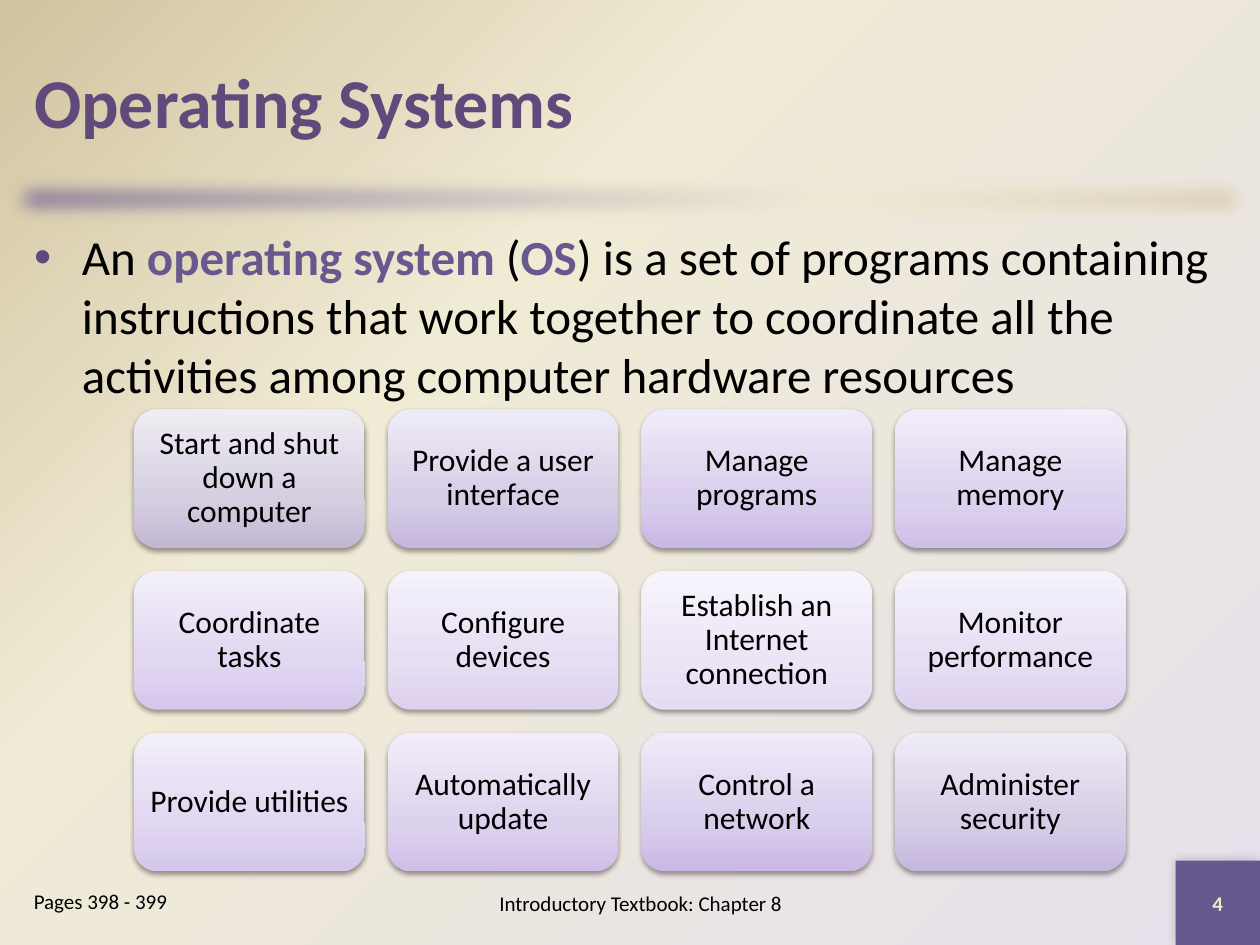
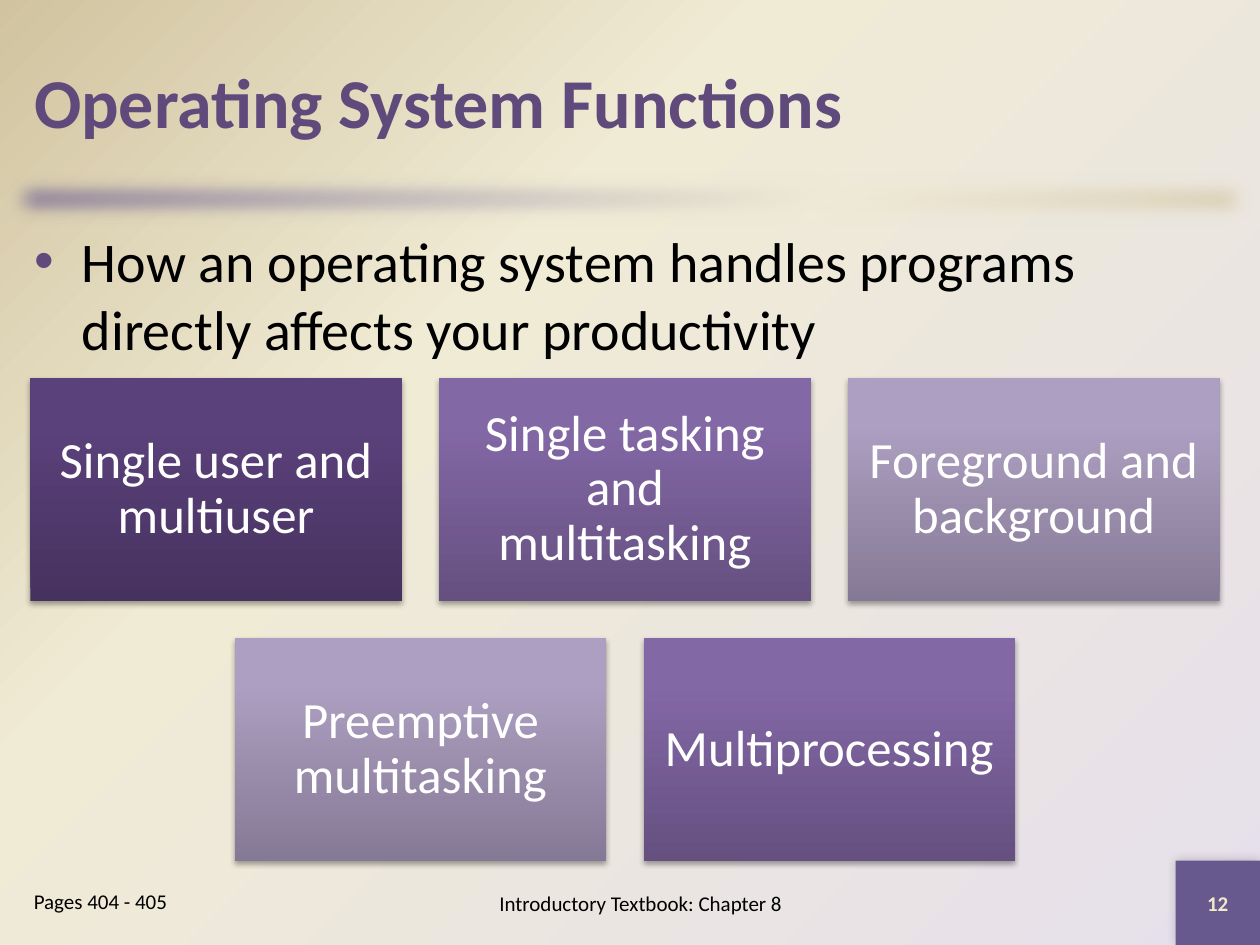
import dataclasses

import pptx
import pptx.dml.color
import pptx.enum.shapes
import pptx.enum.text
import pptx.oxml
import pptx.oxml.ns
import pptx.util

Inches = pptx.util.Inches
Color = pptx.dml.color.RGBColor.from_string
Shape = pptx.enum.shapes.MSO_SHAPE
Align = pptx.enum.text.PP_ALIGN
Anchor = pptx.enum.text.MSO_ANCHOR
NAMESPACE = pptx.oxml.ns.nsdecls("a")


# Theme
@dataclasses.dataclass(frozen=True)
class Theme:
    font: str = "Calibri"
    title: str = "604A7B"
    accent: str = "67588E"
    text: str = "000000"
    light: str = "FFFFFF"
    number: str = "EEEBCA"
    title_size: int = 40
    small_size: int = 12
    background: tuple = ((0, "E6E0EC"), (65, "F0EBD5"), (100, "D1C39F"))
    band: tuple = ((0, "67588E"), (65, "F0EBD5"), (100, "D1C39F"))


theme = Theme()
FOOTER = "Introductory Textbook: Chapter 8"
CORNER_FADE = '<a:path path="circle"><a:fillToRect l="100000" t="100000"/></a:path>'
DIAGONAL = '<a:lin ang="2700000" scaled="0"/>'
UPWARD = '<a:lin ang="16200000" scaled="0"/>'
SOFT_EDGE = '<a:softEdge rad="158750"/>'
SHADOW = ('<a:outerShdw blurRad="{}" dist="{}" dir="{}" rotWithShape="0">'
          '<a:srgbClr val="000000"><a:alpha val="{}"/></a:srgbClr></a:outerShdw>')
CORNER_SHADOW = SHADOW.format(76200, 0, 13500000, 20000)

# Slide content; tile colours run through the shades and back again
slides = [
    dict(
        title="Operating Systems", number="4", pages="Pages 398 - 399", body_size=28,
        body=[("An ", False), ("operating system ", True), ("(", False), ("OS", True),
              (") is a set of programs containing instructions that work together to "
               "coordinate all the activities among computer hardware resources", False)],
        rows=[["Start and shut down a computer", "Provide a user interface",
               "Manage programs", "Manage memory"],
              ["Coordinate tasks", "Configure devices",
               "Establish an Internet connection", "Monitor performance"],
              ["Provide utilities", "Automatically update",
               "Control a network", "Administer security"]],
        kind=Shape.ROUNDED_RECTANGLE, center=5, top=3.25, width=1.83, height=1.1,
        margin=0.02, tile_size=18, tile_text=theme.text, middle_stop=35,
        shades=["C3B8D4 D5CEE0 EFECF3", "C5B7DD D6CDE6 EFEBF6", "C9B8E5 D9CDEC F0EBF8",
                "CFBFE8 DDD2EE F2EDF9", "D5C7EC E1D7F1 F3EFFA", "DDD1EF E6DEF3 F5F2FB",
                "E4DCF2 ECE5F6 F7F4FC"],
        shadow=SHADOW.format(39370, 20320, 5400000, 38000),
    ),
    dict(
        title="Operating System Functions", number="12", pages="Pages 404 - 405",
        body_size=32,
        body=[("How an operating system handles programs directly affects "
               "your productivity", False)],
        rows=[["Single user and multiuser", "Single tasking and multitasking",
               "Foreground and background"],
              ["Preemptive multitasking", "Multiprocessing"]],
        kind=Shape.RECTANGLE, center=4.96, top=3, width=2.95, height=1.77,
        margin=0.12, tile_size=29, tile_text=theme.light, middle_stop=80,
        shades=["46325F 5B417B 5B407C", "655080 8368A6 8368A8", "857A95 AD9FC1 AE9FC3"],
        shadow=SHADOW.format(39370, 22860, 5400000, 35000),
    ),
]


def paint_gradient(target, fill, stops, direction):
    """Fill a background or shape with colour stops given in percent."""
    fill.gradient()
    gradient = target.element.find(".//" + pptx.oxml.ns.qn("a:gradFill"))
    for child in list(gradient):
        gradient.remove(child)
    stop_xml = "".join(f'<a:gs pos="{position * 1000}"><a:srgbClr val="{color}"/></a:gs>'
                       for position, color in stops)
    holder = pptx.oxml.parse_xml(
        f"<a:gradFill {NAMESPACE}><a:gsLst>{stop_xml}</a:gsLst>{direction}</a:gradFill>")
    gradient.extend(list(holder))


def add_block(page, kind, place, effect):
    """Add an outline-free shape that carries one effect."""
    block = page.shapes.add_shape(kind, *map(Inches, place))
    block.line.fill.background()
    block.shadow.inherit = False
    effects = block.element.spPr.find(pptx.oxml.ns.qn("a:effectLst"))
    holder = pptx.oxml.parse_xml(f"<a:effectLst {NAMESPACE}>{effect}</a:effectLst>")
    effects.extend(list(holder))
    return block


deck = pptx.Presentation()
deck.slide_width, deck.slide_height = Inches(10), Inches(7.5)
master = deck.slide_master
paint_gradient(master, master.background.fill, theme.background, CORNER_FADE)

for content in slides:
    page = deck.slides.add_slide(deck.slide_layouts[1])
    styles = []  # paragraph, size, colour, bold, alignment

    # Band below the title
    band = add_block(page, Shape.RECTANGLE, (0, 1.33, 10, 0.5), SOFT_EDGE)
    paint_gradient(band, band.fill, theme.band, DIAGONAL)

    # Title and body placeholders
    title, body = page.shapes.title, page.placeholders[1]
    for box, top, height, anchor in [(title, 0.17, 1.25, Anchor.MIDDLE),
                                     (body, 1.75, 5.08, Anchor.TOP)]:
        box.left, box.top = Inches(0.17), Inches(top)
        box.width, box.height = Inches(9.67), Inches(height)
        box.text_frame.vertical_anchor = anchor
        box.text_frame.auto_size = pptx.enum.text.MSO_AUTO_SIZE.NONE
    title.text_frame.text = content["title"]
    styles.append((title.text_frame.paragraphs[0], theme.title_size, theme.title,
                   True, Align.LEFT))

    para = body.text_frame.paragraphs[0]
    properties = para._p.get_or_add_pPr()
    properties.set("marL", str(Inches(0.38)))
    properties.set("indent", str(-Inches(0.38)))
    bullet = pptx.oxml.parse_xml(
        f'<a:pPr {NAMESPACE}><a:buClr><a:srgbClr val="{theme.title}"/></a:buClr>'
        '<a:buFont typeface="Arial"/><a:buChar char="•"/></a:pPr>')
    properties.extend(list(bullet))
    para.space_before = 0
    for text, is_term in content["body"]:
        span = para.add_run()
        span.text = text
        if is_term:
            span.font.bold = True
            span.font.color.rgb = Color(theme.accent)
    styles.append((para, content["body_size"], theme.text, False, Align.LEFT))

    # Page number corner
    corner = add_block(page, Shape.RECTANGLE, (9.33, 6.83, 0.67, 0.67), CORNER_SHADOW)
    corner.fill.solid()
    corner.fill.fore_color.rgb = Color(theme.accent)
    corner.text_frame.text = content["number"]
    styles.append((corner.text_frame.paragraphs[0], theme.small_size, theme.number,
                   True, Align.CENTER))

    # Footer texts
    for text, place, anchor, align in [
            (FOOTER, (3, 6.92, 4.17, 0.5), Anchor.MIDDLE, Align.CENTER),
            (content["pages"], (0.17, 7, 1.83, 0.5), Anchor.TOP, Align.LEFT)]:
        box = page.shapes.add_textbox(*map(Inches, place))
        box.text_frame.word_wrap = True
        box.text_frame.vertical_anchor = anchor
        box.text_frame.text = text
        styles.append((box.text_frame.paragraphs[0], theme.small_size, theme.text,
                       False, align))

    # Tiles in centred rows, with gaps of a tenth of the tile width
    width, height = content["width"], content["height"]
    gap = width / 10
    tile_count = sum(map(len, content["rows"]))
    index = 0
    for row_number, labels in enumerate(content["rows"]):
        row_width = len(labels) * (width + gap) - gap
        top = content["top"] + row_number * (height + gap)
        for column, label in enumerate(labels):
            left = content["center"] - row_width / 2 + column * (width + gap)
            tile = add_block(page, content["kind"], (left, top, width, height),
                             content["shadow"])
            shade = content["shades"][min(index, tile_count - index)].split()
            stops = zip((0, content["middle_stop"], 100), shade)
            paint_gradient(tile, tile.fill, stops, UPWARD)
            frame = tile.text_frame
            frame.word_wrap = True
            frame.vertical_anchor = Anchor.MIDDLE
            frame.margin_left = frame.margin_right = Inches(content["margin"])
            frame.margin_top = frame.margin_bottom = Inches(content["margin"])
            frame.text = label
            frame.paragraphs[0].line_spacing = 0.9
            styles.append((frame.paragraphs[0], content["tile_size"],
                           content["tile_text"], False, Align.CENTER))
            index += 1

    # Text styles
    for para, size, color, bold, align in styles:
        para.alignment = align
        para.font.name = theme.font
        para.font.size = pptx.util.Pt(size)
        para.font.bold = bold
        para.font.color.rgb = Color(color)

deck.save("out.pptx")
